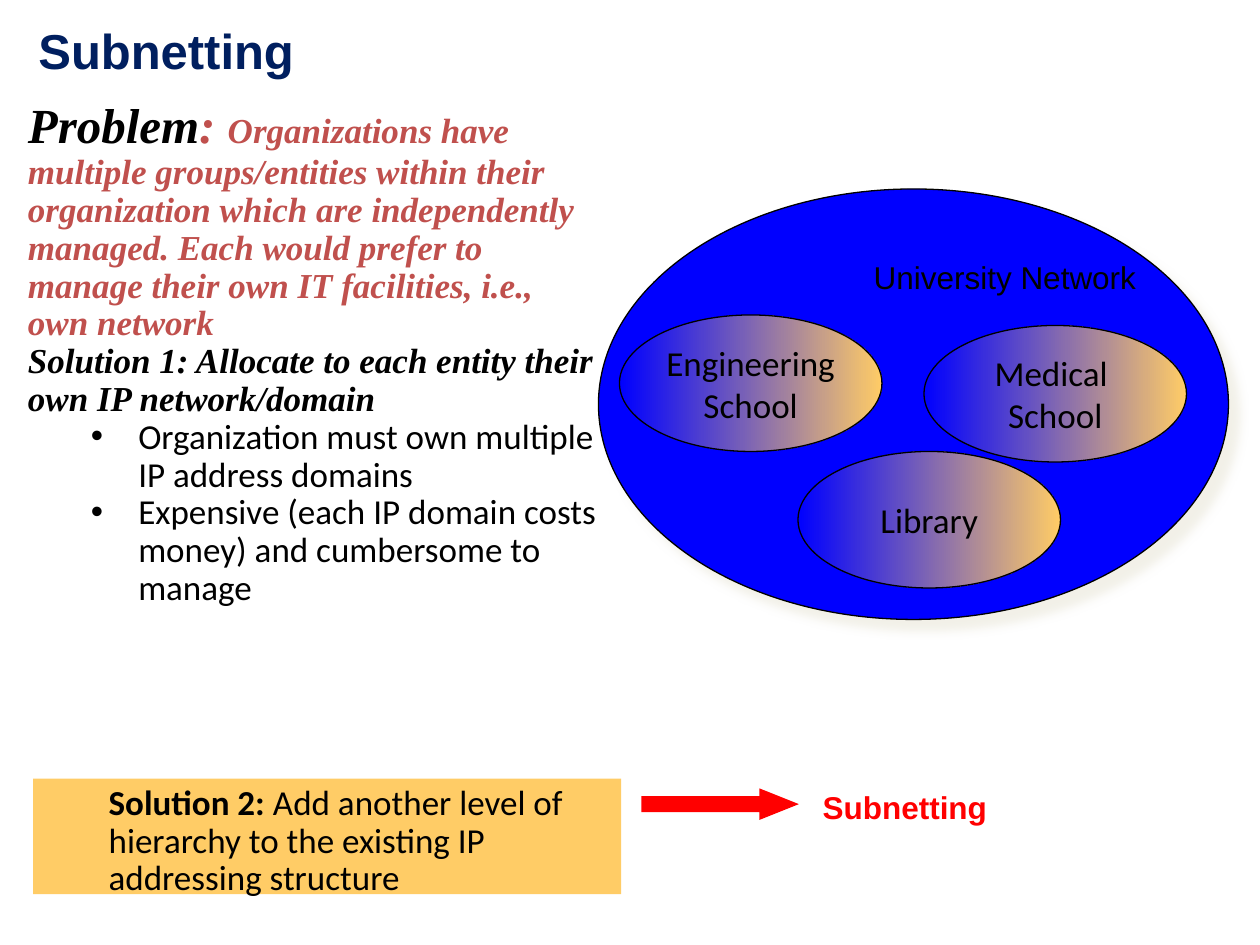
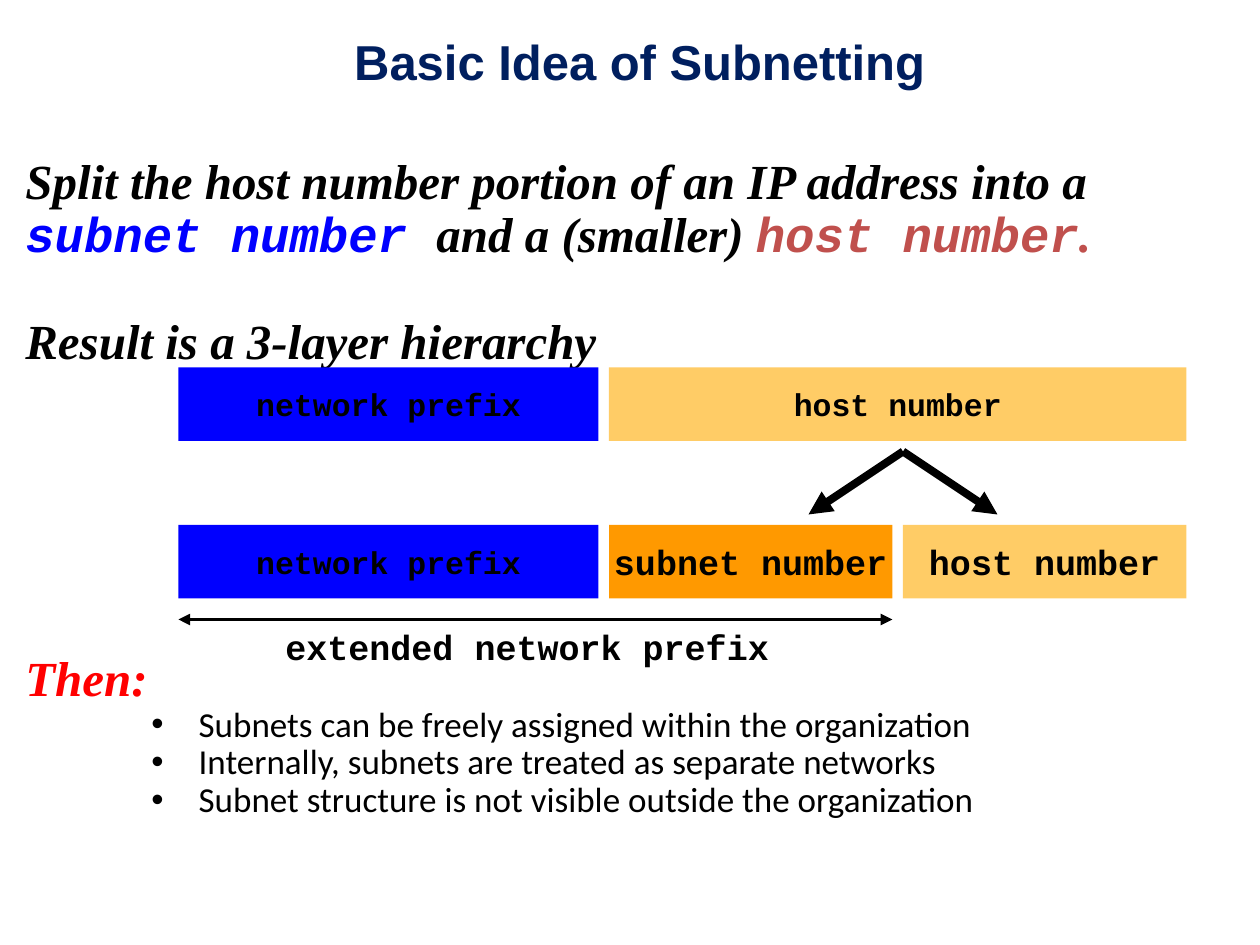
from lxml import etree
from pptx import Presentation
from pptx.dml.color import RGBColor
from pptx.enum.shapes import MSO_CONNECTOR, MSO_SHAPE
from pptx.enum.text import MSO_ANCHOR as Anchor, MSO_AUTO_SIZE as AutoSize, PP_ALIGN as Align
from pptx.oxml.ns import qn
from pptx.util import Pt

# Colours
BLACK = RGBColor(0x00, 0x00, 0x00)
NAVY = RGBColor(0x00, 0x1F, 0x5F)
BLUE = RGBColor(0x00, 0x00, 0xFF)
RED = RGBColor(0xFF, 0x00, 0x00)
BRICK = RGBColor(0xC0, 0x50, 0x4D)
SAND = RGBColor(0xFF, 0xCC, 0x66)
ORANGE = RGBColor(0xFF, 0x99, 0x00)
SHADOW = RGBColor(0xEE, 0xEC, 0xE1)


# Text formats
def text_format(name, size, color=BLACK, bold=False, italic=False):
    return {"name": name, "size": Pt(size), "color": color, "bold": bold, "italic": italic}


def serif(size, color=BLACK):
    return text_format("Times New Roman", size, color, bold=True, italic=True)


def code(size, color=BLACK, italic=False):
    return text_format("Courier New", size, color, bold=True, italic=italic)


TITLE = text_format("Arial", 28, NAVY, bold=True)
CALLOUT = text_format("Arial", 18, RED, bold=True)
NETWORK = text_format("Arial", 18)
PLAIN = text_format("Calibri", 20)
STRONG = text_format("Calibri", 20, bold=True)


# Content: a paragraph holds (text, format) runs and its layout
def para(*runs, **layout):
    return {"runs": runs, **layout}


def bullets(left, *texts):
    return [para((text, PLAIN), left=left, hanging=27) for text in texts]


PROBLEM = [
    para(("Problem", serif(28)), (": ", serif(28, BRICK)),
         ("Organizations have multiple groups/entities within their organization which are "
          "independently managed. Each would prefer to manage their own IT facilities, i.e., "
          "own network", serif(20, BRICK)), spacing=0.9),
    para(("Solution 1: Allocate to each entity their own IP network/domain", serif(20)),
         spacing=0.9),
    *bullets(63, "Organization must own multiple IP address domains",
             "Expensive (each IP domain costs money) and cumbersome to manage"),
]
SOLUTION = [para(("Solution 2:", STRONG),
                 (" Add another level of hierarchy to the existing IP addressing structure", PLAIN),
                 left=36, spacing=0.9)]
ENTITIES = [  # lines, left, top
    (["Medical ", "School"], 528, 186),
    (["Library"], 456, 258),
    (["Engineering", "School"], 354, 180),
]
IDEA = [
    para(("Split the host number portion of an IP address into a ", serif(28)),
         ("subnet number ", code(28, BLUE, italic=True)), ("and a (smaller) ", serif(28)),
         ("host number", code(28, BRICK, italic=True)), (".", serif(28, BRICK)), spacing=0.9),
    para(("Result is a 3-layer hierarchy", serif(28)), before=31, spacing=0.9),
    para(("Then:", serif(28, RED)), before=162, spacing=0.9),
    *bullets(99, "Subnets can be freely assigned within the organization",
             "Internally, subnets are treated as separate networks",
             "Subnet structure is not visible outside the organization"),
]
ADDRESS_ROWS = [  # top, then (label, width, fill, size)
    (210, [("network prefix", 240, BLUE, 18), ("host number", 330, SAND, 18)]),
    (300, [("network prefix", 240, BLUE, 18), ("subnet number", 162, ORANGE, 20),
           ("host number", 162, SAND, 20)]),
]
ADDRESS_LEFT, FIELD_HEIGHT, FIELD_GAP = 102, 42, 6
SPLIT_X, SPLIT_Y = 516, 258
PREFIX_END, PREFIX_Y = 510, 354


# Building blocks
def set_frame(frame, paragraphs, align=Align.LEFT, **settings):
    for key, value in settings.items():
        setattr(frame, key, value)
    for index, item in enumerate(paragraphs):
        paragraph = frame.add_paragraph() if index else frame.paragraphs[0]
        properties = paragraph._p.get_or_add_pPr()
        hanging = item.get("hanging", 0)
        if hanging:
            etree.SubElement(properties, qn("a:buFont"), typeface="Arial")
            etree.SubElement(properties, qn("a:buChar"), char="•")
        properties.set("marL", str(Pt(item.get("left", 0))))
        properties.set("indent", str(-Pt(hanging)))
        paragraph.alignment = align
        paragraph.line_spacing = 0.9 if hanging else item.get("spacing", 1.0)
        paragraph.space_before = Pt(item.get("before", 0))
        for text, font_format in item["runs"]:
            run = paragraph.add_run()
            run.text = text
            for key, value in font_format.items():
                if key == "color":
                    run.font.color.rgb = value
                else:
                    setattr(run.font, key, value)


def add_text(slide, box, paragraphs, inset=True, align=Align.LEFT):
    frame = slide.shapes.add_textbox(*map(Pt, box)).text_frame
    margins = {} if inset else dict.fromkeys(
        ("margin_left", "margin_top", "margin_right", "margin_bottom"), 0)
    set_frame(frame, paragraphs, align, word_wrap=True,
              auto_size=AutoSize.SHAPE_TO_FIT_TEXT, **margins)


def add_title(slide, box, text, align=Align.LEFT):
    add_text(slide, box, [para((text, TITLE))], inset=False, align=align)


def add_shape(slide, kind, box, *colors, outlined=False):
    shape = slide.shapes.add_shape(kind, *map(Pt, box))
    shape.shadow.inherit = False
    if len(colors) == 2:
        shape.fill.gradient()
        shape.fill.gradient_angle = 0
        for position, (stop, color) in enumerate(zip(shape.fill.gradient_stops, colors)):
            stop.color.rgb = color
            stop.position = position
    else:
        shape.fill.solid()
        shape.fill.fore_color.rgb = colors[0]
    if outlined:
        shape.line.color.rgb = BLACK
        shape.line.width = Pt(0.75)
    else:
        shape.line.fill.background()
    return shape


def add_label(shape, lines, font_format):
    set_frame(shape.text_frame, [para((line, font_format)) for line in lines], Align.CENTER,
              word_wrap=False, vertical_anchor=Anchor.MIDDLE)


def add_soft_shadow(shape):
    effects = shape._element.spPr.find(qn("a:effectLst"))
    shadow = etree.SubElement(effects, qn("a:outerShdw"), blurRad=str(Pt(5)), dist=str(Pt(8.5)),
                              dir=str(45 * 60000), algn="tl", rotWithShape="0")
    color = etree.SubElement(shadow, qn("a:srgbClr"), val=str(SHADOW))
    etree.SubElement(color, qn("a:alpha"), val="75000")


def add_arrow(slide, start, end, width, ends=("tailEnd",)):
    arrow = slide.shapes.add_connector(MSO_CONNECTOR.STRAIGHT, *map(Pt, start + end))
    arrow.line.color.rgb = BLACK
    arrow.line.width = Pt(width)
    line = arrow.line._get_or_add_ln()
    for name in ends:
        etree.SubElement(line, qn(f"a:{name}"), type="triangle")
    etree.SubElement(arrow._element.spPr, qn("a:effectLst"))


# Slides
def build_problem_slide(slide):
    # Second solution and its name
    add_shape(slide, MSO_SHAPE.RECTANGLE, (19, 445, 336, 66), SAND)
    arrow = add_shape(slide, MSO_SHAPE.RIGHT_ARROW, (366.5, 450.5, 90, 18), RED)
    arrow.adjustments[0], arrow.adjustments[1] = 0.5, 1.25
    add_text(slide, (463, 447, 162, 29), [para(("Subnetting", CALLOUT))])
    add_title(slide, (22, 12, 500, 34), "Subnetting")

    # University network with its entities
    university = add_shape(slide, MSO_SHAPE.OVAL, (342, 108, 360, 246), BLUE, outlined=True)
    add_soft_shadow(university)
    set_frame(university.text_frame, [para(("University Network", NETWORK))], Align.RIGHT,
              word_wrap=False, vertical_anchor=Anchor.TOP, margin_right=0)
    for lines, left, top in ENTITIES:
        entity = add_shape(slide, MSO_SHAPE.OVAL, (left, top, 150, 78), BLUE, SAND, outlined=True)
        add_label(entity, lines, PLAIN)

    # Problem and solutions
    add_text(slide, (16, 58, 326, 282), PROBLEM, inset=False)
    add_text(slide, (19, 445, 336, 73), SOLUTION)


def build_idea_slide(slide):
    add_text(slide, (14.5, 90, 702, 380), IDEA, inset=False)
    add_title(slide, (24, 18, 683, 34), "Basic Idea of Subnetting", Align.CENTER)

    # Address fields, laid out from left to right
    for top, fields in ADDRESS_ROWS:
        left = ADDRESS_LEFT
        for label, width, fill, size in fields:
            field = add_shape(slide, MSO_SHAPE.RECTANGLE, (left, top, width, FIELD_HEIGHT), fill)
            add_label(field, [label], code(size))
            left += width + FIELD_GAP

    # Split of the host number and the extended prefix
    for shift in (-54, 54):
        add_arrow(slide, (SPLIT_X, SPLIT_Y), (SPLIT_X + shift, SPLIT_Y + 36), 4.5)
    add_arrow(slide, (ADDRESS_LEFT, PREFIX_Y), (PREFIX_END, PREFIX_Y), 2.25,
              ("headEnd", "tailEnd"))
    add_text(slide, (156, PREFIX_Y, 294, 31), [para(("extended network prefix", code(20)))])


def main():
    presentation = Presentation()
    presentation.slide_width, presentation.slide_height = Pt(720), Pt(540)
    for build in (build_problem_slide, build_idea_slide):
        build(presentation.slides.add_slide(presentation.slide_layouts[6]))
    presentation.save("out.pptx")


if __name__ == "__main__":
    main()
